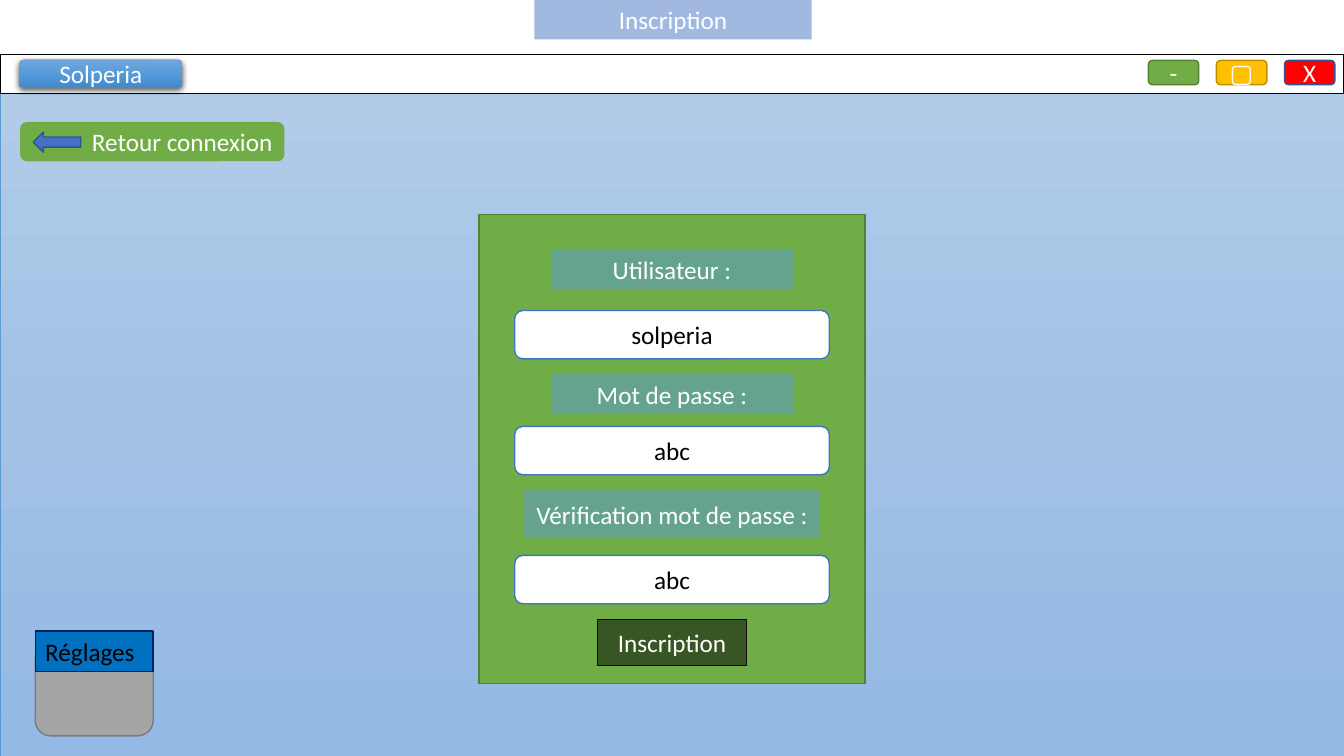
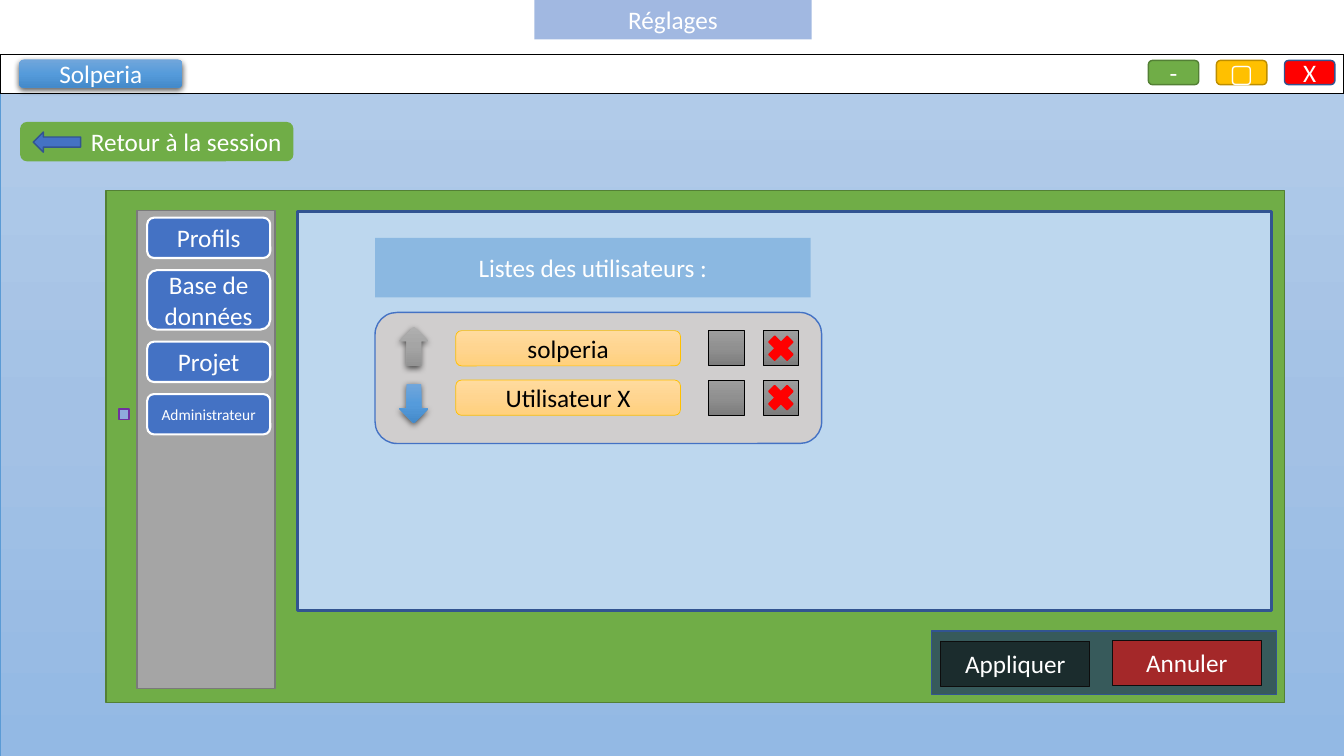
"""Build two mock-up screens of a desktop application: sign-up and settings."""
from copy import deepcopy

from lxml import etree
from pptx import Presentation
from pptx import util as u
from pptx.dml.color import RGBColor
from pptx.enum import shapes, text
from pptx.oxml.ns import qn

WIDTH, HEIGHT = 13.33, 7.5
FONT = "Calibri"
APP_NAME = "Solperia"
USER_NAME = "solperia"

SIGN_UP = {"title": "Inscription", "back": "Retour connexion", "back_width": 2.62}
SETTINGS = {"title": "Réglages", "back": "Retour à la session", "back_width": 2.71}
WINDOW_BUTTONS = [("-", "minimise"), ("▢", "maximise"), ("X", "close")]
FORM_FIELDS = [
    ("Utilisateur :", 2.4, 2.47, 0.4, USER_NAME, 3.08),
    ("Mot de passe :", 2.4, 3.71, 0.4, "abc", 4.23),
    ("Vérification mot de passe :", 2.93, 4.86, 0.48, "abc", 5.51),
]
MENU = [("Profils", 0.4, 18), ("Base de données", 0.59, 18),
        ("Projet", 0.4, 18), ("Administrateur", 0.4, 11)]
USERS = [USER_NAME, "Utilisateur X"]
ACTIONS = [("Appliquer", 9.33, 6.36, "dark"), ("Annuler", 11.03, 6.35, "cancel")]

WHITE = RGBColor(0xFF, 0xFF, 0xFF)
BLACK = RGBColor(0x00, 0x00, 0x00)
INK = RGBColor(0x0D, 0x0D, 0x0D)
BLUE = RGBColor(0x44, 0x72, 0xC4)
BLUE_EDGE = RGBColor(0x32, 0x54, 0x91)
SKY = RGBColor(0x5B, 0x9B, 0xD5)
PALE_SKY = RGBColor(0xBD, 0xD7, 0xEE)
PERIWINKLE = RGBColor(0x8F, 0xAA, 0xDC)
STRONG_BLUE = RGBColor(0x00, 0x70, 0xC0)
NAVY = RGBColor(0x00, 0x20, 0x60)
DEEP_BLUE = RGBColor(0x20, 0x38, 0x64)
PURPLE = RGBColor(0x70, 0x30, 0xA0)
GREEN = RGBColor(0x70, 0xAD, 0x47)
GREEN_EDGE = RGBColor(0x53, 0x80, 0x35)
AMBER = RGBColor(0xFF, 0xC0, 0x00)
AMBER_EDGE = RGBColor(0xBD, 0x8E, 0x00)
RED = RGBColor(0xFF, 0x00, 0x00)
GREY = RGBColor(0xA5, 0xA5, 0xA5)
GREY_EDGE = RGBColor(0x7A, 0x7A, 0x7A)
PALE_GREY = RGBColor(0xD0, 0xCE, 0xCE)

BACKDROP_BLEND = [RGBColor(0xB1, 0xCB, 0xE9), RGBColor(0xA3, 0xC1, 0xE5), RGBColor(0x93, 0xB9, 0xE4)]
BLUE_BLEND = [RGBColor(0x71, 0xA6, 0xDB), RGBColor(0x55, 0x9B, 0xDB), RGBColor(0x44, 0x8A, 0xCA)]
GREY_BLEND = [RGBColor(0xAF, 0xAF, 0xAF), GREY, RGBColor(0x93, 0x93, 0x93)]
DARK_BLEND = [RGBColor(0x9D, 0x9D, 0x9D), RGBColor(0x90, 0x90, 0x90), RGBColor(0x7C, 0x7C, 0x7C)]
AMBER_BLEND = [RGBColor(0xFF, 0xDB, 0x9E), RGBColor(0xFF, 0xD5, 0x90), RGBColor(0xFF, 0xD0, 0x7C)]

STYLES = {
    "title": ((BLUE, 50), None, 0),
    "backdrop": (BACKDROP_BLEND, SKY, 0.5),
    "bar": (WHITE, BLACK, 1),
    "minimise": (GREEN, GREEN_EDGE, 1),
    "maximise": (AMBER, AMBER_EDGE, 1),
    "close": (RED, BLUE_EDGE, 1),
    "panel": (GREEN, GREEN_EDGE, 1),
    "back": (GREEN, None, 0),
    "arrow": (BLUE, BLUE_EDGE, 1),
    "raised blue": (BLUE_BLEND, None, 0),
    "raised grey": (GREY_BLEND, None, 0),
    "label": ((SKY, 50), None, 0),
    "field": (WHITE, BLUE, 1),
    "dark": ((BLACK, 50), INK, 0.75),
    "cancel": ((RED, 55), INK, 0.75),
    "grey": (GREY, GREY_EDGE, 1),
    "tab": (STRONG_BLUE, NAVY, 1),
    "menu": (BLUE, WHITE, 1.5),
    "content": (PALE_SKY, BLUE_EDGE, 2.25),
    "marker": (PERIWINKLE, PURPLE, 1),
    "action bar": ((DEEP_BLUE, 70), BLUE_EDGE, 1),
    "list": (PALE_GREY, BLUE, 1),
    "user": (AMBER_BLEND, AMBER, 0.5),
    "check box": (DARK_BLEND, BLACK, 0.5),
    "cross": (RED, RED, 1),
}
KIND = shapes.MSO_SHAPE
RECT, ROUND = KIND.RECTANGLE, KIND.ROUNDED_RECTANGLE
LEFT, CENTER, RIGHT = text.PP_ALIGN.LEFT, text.PP_ALIGN.CENTER, text.PP_ALIGN.RIGHT


def paint(box, style):
    """Apply the fill and outline of a named style."""
    fill, line, width = STYLES[style]
    properties = box._element.spPr
    if isinstance(fill, list):
        box.fill.gradient()
        box.fill.gradient_angle = 270
        stop_list = properties.find(".//" + qn("a:gsLst"))
        stop_list.append(deepcopy(stop_list[0]))
        for stop, position, color in zip(box.fill.gradient_stops, (0, 0.5, 1), fill):
            stop.position = position
            stop.color.rgb = color
    else:
        color, opacity = (fill, 100) if isinstance(fill, RGBColor) else fill
        box.fill.solid()
        box.fill.fore_color.rgb = color
        if opacity < 100:
            node = properties.find(".//" + qn("a:srgbClr"))
            etree.SubElement(node, qn("a:alpha"), val=str(opacity * 1000))
    if line is None:
        box.line.fill.background()
    else:
        box.line.color.rgb = line
        box.line.width = u.Pt(width)


def write(box, words, color=WHITE, size=18, align=CENTER, anchor=text.MSO_ANCHOR.MIDDLE):
    """Put one formatted paragraph in a shape."""
    frame = box.text_frame
    frame.text = words
    frame.word_wrap = True
    frame.auto_size = text.MSO_AUTO_SIZE.NONE
    frame.vertical_anchor = anchor
    frame.margin_left = frame.margin_right = u.Inches(0.1)
    frame.margin_top = frame.margin_bottom = u.Inches(0.05)
    para = frame.paragraphs[0]
    para.alignment = align
    for span in para.runs:
        span.font.name = FONT
        span.font.size = u.Pt(size)
        span.font.color.rgb = color


def add_box(slide, kind, place, style, words=None, **look):
    """Add a styled shape, with text if given."""
    box = slide.shapes.add_shape(kind, *map(u.Inches, place))
    box.shadow.inherit = False
    paint(box, style)
    if words:
        write(box, words, **look)
    return box


def raise_box(box):
    """Give a shape a soft shadow below it."""
    effects = box._element.spPr.find(qn("a:effectLst"))
    shadow = etree.SubElement(effects, qn("a:outerShdw"), blurRad=str(int(u.Pt(4.5))),
                              dist=str(int(u.Pt(1.5))), dir="5400000", algn="ctr", rotWithShape="0")
    color = etree.SubElement(shadow, qn("a:srgbClr"), val=str(BLACK))
    etree.SubElement(color, qn("a:alpha"), val="63000")


def add_window(deck, screen):
    """Add a slide with the title, window bar and back button."""
    slide = deck.slides.add_slide(deck.slide_layouts[5])
    title = slide.shapes.title
    title.left, title.top, title.width, title.height = map(u.Inches, (5.3, 0, 2.75, 0.39))
    paint(title, "title")
    write(title, screen["title"])
    add_box(slide, RECT, (0, 0.92, WIDTH, HEIGHT - 0.92), "backdrop")
    add_box(slide, RECT, (0, 0.54, WIDTH, 0.39), "bar")
    for column, (sign, style) in enumerate(WINDOW_BUTTONS):
        add_box(slide, ROUND, (11.39 + 0.675 * column, 0.6, 0.5, 0.24), style, sign)
    raise_box(add_box(slide, ROUND, (0.19, 0.59, 1.62, 0.28), "raised blue", APP_NAME))
    add_box(slide, ROUND, (0.2, 1.21, screen["back_width"], 0.39), "back", screen["back"], align=RIGHT)
    add_box(slide, KIND.LEFT_ARROW, (0.33, 1.31, 0.47, 0.2), "arrow")
    return slide


def add_sign_up(deck):
    """Add the sign-up form."""
    slide = add_window(deck, SIGN_UP)
    middle = WIDTH / 2
    add_box(slide, RECT, (4.75, 2.13, 3.83, 4.65), "panel")
    for label, width, top, height, answer, answer_top in FORM_FIELDS:
        add_box(slide, RECT, (middle - width / 2, top, width, height), "label", label)
        add_box(slide, ROUND, (middle - 1.56, answer_top, 3.12, 0.48), "field", answer, color=BLACK)
    add_box(slide, RECT, (middle - 0.74, 6.15, 1.48, 0.45), "dark", SIGN_UP["title"])
    add_box(slide, ROUND, (0.35, 6.38, 1.17, 0.92), "grey")
    add_box(slide, RECT, (0.35, 6.26, 1.17, 0.4), "tab", SETTINGS["title"],
            color=BLACK, align=LEFT, anchor=text.MSO_ANCHOR.TOP)


def add_settings(deck):
    """Add the settings screen with its menu and user list."""
    slide = add_window(deck, SETTINGS)
    add_box(slide, RECT, (1.05, 1.89, 11.69, 5.08), "panel")
    add_box(slide, RECT, (1.36, 2.09, 1.37, 4.74), "grey")
    add_box(slide, RECT, (2.95, 2.1, 9.66, 3.96), "content")
    add_box(slide, RECT, (1.18, 4.06, 0.1, 0.1), "marker")
    top = 2.16
    for entry, height, size in MENU:
        add_box(slide, ROUND, (1.46, top, 1.22, height), "menu", entry, size=size)
        top += height + 0.12
    add_box(slide, RECT, (9.24, 6.26, 3.42, 0.63), "action bar")
    for action, left, top, style in ACTIONS:
        add_box(slide, RECT, (left, top, 1.48, 0.45), style, action)
    add_box(slide, RECT, (3.72, 2.36, 4.32, 0.59), "label", "Listes des utilisateurs :")
    add_box(slide, ROUND, (3.72, 3.1, 4.43, 1.3), "list")
    for row, user in enumerate(USERS):
        top = 3.28 + 0.49 * row
        add_box(slide, ROUND, (4.52, top, 2.23, 0.35), "user", user, color=BLACK)
        for left in (7.03, 7.57):
            add_box(slide, RECT, (left, top, 0.35, 0.35), "check box")
        add_box(slide, KIND.MATH_MULTIPLY, (7.57, top, 0.35, 0.35), "cross")
    for kind, top, style in ((KIND.UP_ARROW, 3.24, "raised grey"), (KIND.DOWN_ARROW, 3.81, "raised blue")):
        raise_box(add_box(slide, kind, (3.96, top, 0.29, 0.39), style))


def main():
    """Build and save the deck."""
    deck = Presentation()
    deck.slide_width, deck.slide_height = u.Inches(WIDTH), u.Inches(HEIGHT)
    add_sign_up(deck)
    add_settings(deck)
    deck.save("out.pptx")


if __name__ == "__main__":
    main()
